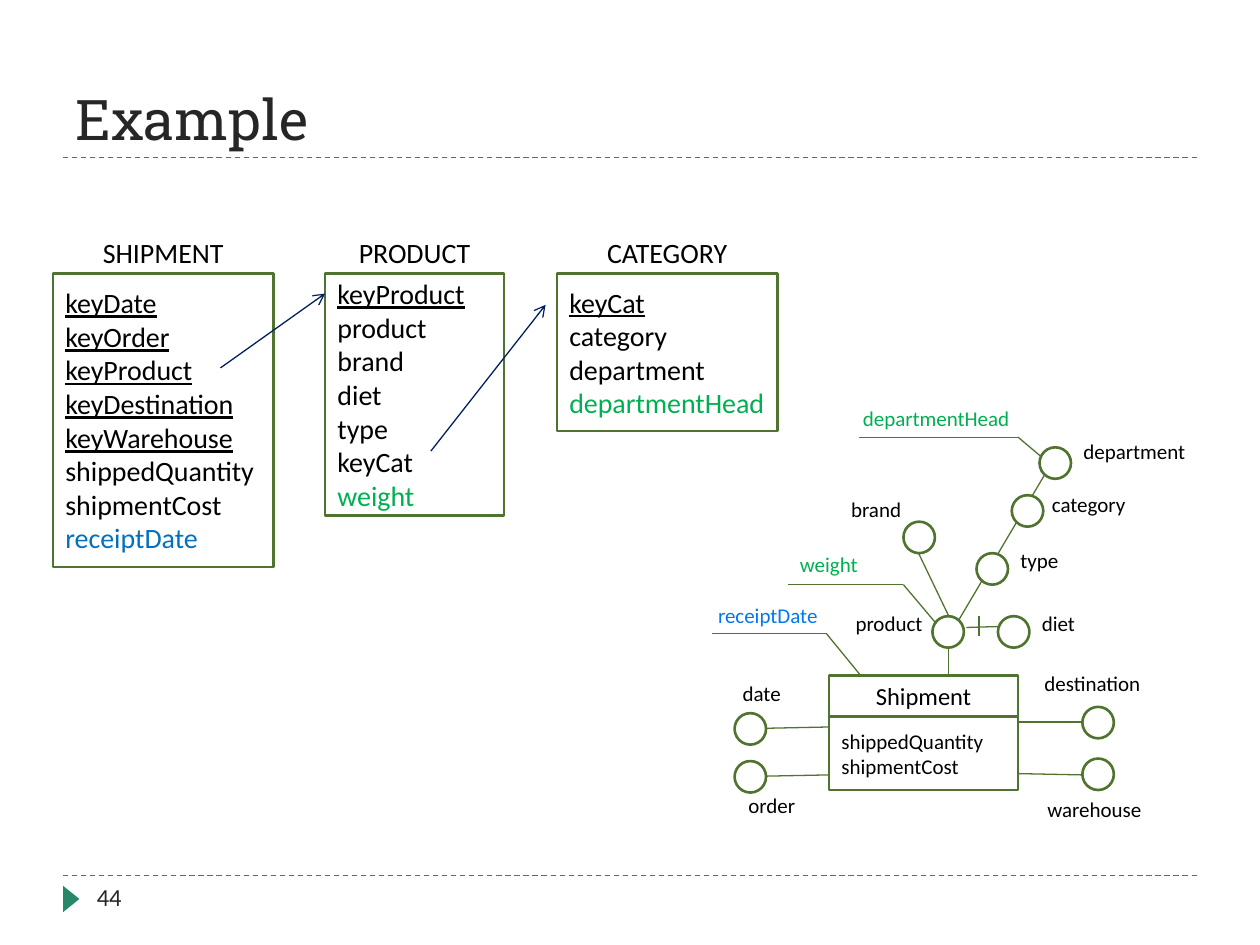
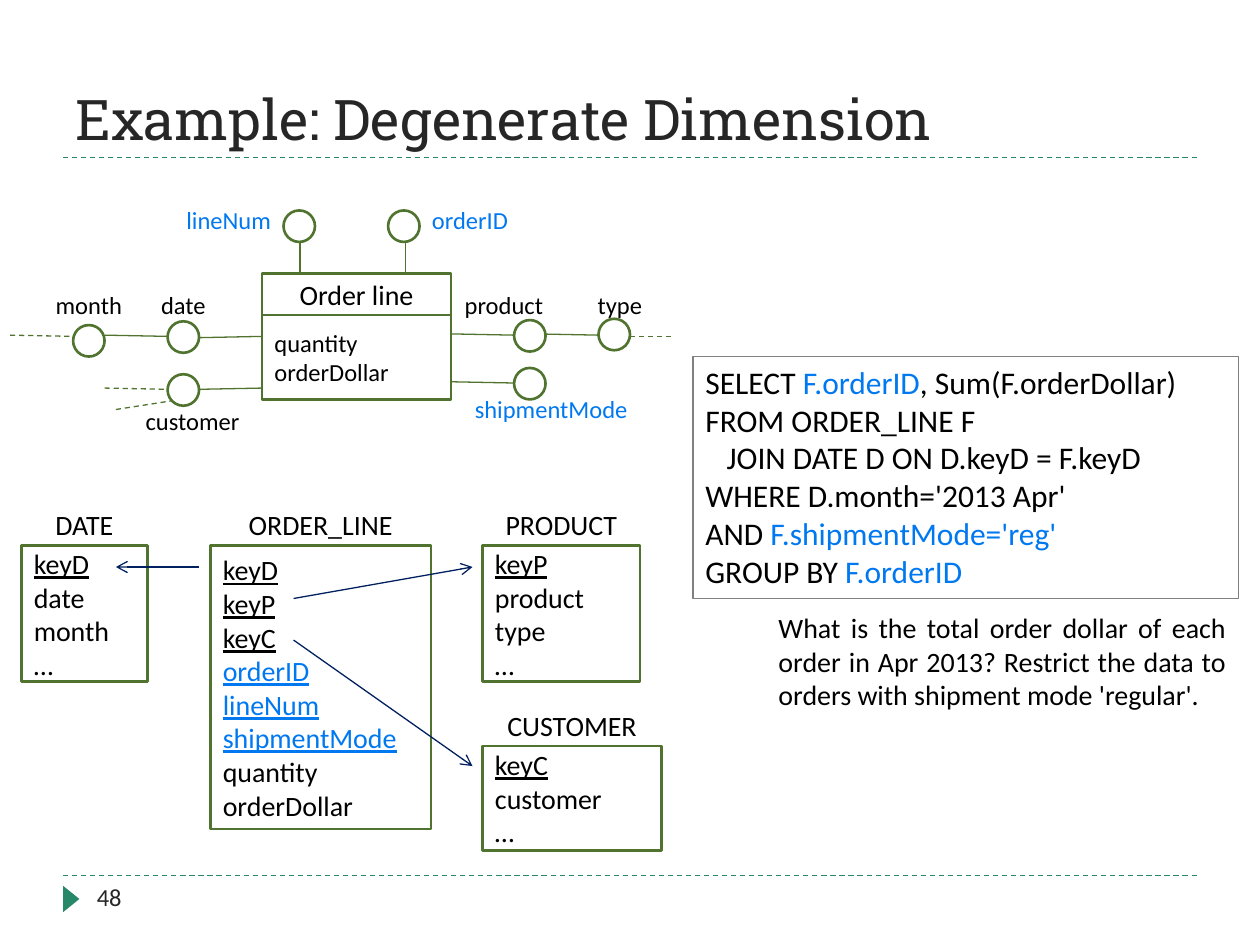
from typing import NamedTuple, Optional

from lxml.etree import SubElement
from pptx import Presentation
from pptx.dml.color import RGBColor
from pptx.enum.dml import MSO_LINE
from pptx.enum.shapes import MSO_CONNECTOR, MSO_SHAPE
from pptx.enum.text import MSO_ANCHOR, PP_ALIGN
from pptx.oxml.ns import qn
from pptx.slide import Slide
from pptx.util import Pt

# Scale, fonts and colours
PX = 9144  # 100 px to the inch
BODY, SLAB = "Calibri", "Roboto Slab"
BLACK = RGBColor(0x00, 0x00, 0x00)
WHITE = RGBColor(0xFF, 0xFF, 0xFF)
DARK = RGBColor(0x26, 0x26, 0x26)
GRAY = RGBColor(0x80, 0x80, 0x80)
TEAL = RGBColor(0x26, 0x88, 0x68)
OLIVE = RGBColor(0x50, 0x74, 0x2F)
NAVY = RGBColor(0x00, 0x20, 0x60)
GREEN = RGBColor(0x00, 0xB0, 0x50)
BLUE = RGBColor(0x00, 0x78, 0xF0)
DEEP = RGBColor(0x00, 0x70, 0xC0)
LEFT, MID, RIGHT = PP_ALIGN.LEFT, PP_ALIGN.CENTER, PP_ALIGN.RIGHT
NODE = 25
HEAD = 33


class Span(NamedTuple):
    text: str
    ink: RGBColor = BLACK
    under: bool = False


Rows = list[list[Span]]


class Area(NamedTuple):
    x: int
    y: int
    w: int
    h: int


class Wire(NamedTuple):
    x1: int
    y1: int
    x2: int
    y2: int
    dash: bool = False


class Tag(NamedTuple):
    text: str
    x: int
    y: int
    w: int
    align: PP_ALIGN = LEFT
    ink: RGBColor = BLACK


class Table(NamedTuple):
    name: str
    area: Area
    rows: Rows


class Fact(NamedTuple):
    name: str
    x: int
    y: int
    h: int
    rows: Rows


class Graph(NamedTuple):
    size: int
    fact: Fact
    wires: list[Wire]
    nodes: list[tuple[int, int]]
    tags: list[Tag]


def rows(*words: str, ink: RGBColor = BLACK, under: bool = False) -> Rows:
    return [[Span(word, ink, under)] for word in words]


def keys(*words: str, ink: RGBColor = BLACK) -> Rows:
    return rows(*words, ink=ink, under=True)


# Drawing tools
def write(shape, lines: Rows, size: int, align: PP_ALIGN = LEFT,
          anchor: MSO_ANCHOR = MSO_ANCHOR.MIDDLE, face: str = BODY) -> None:
    frame = shape.text_frame
    frame.word_wrap = True
    frame.vertical_anchor = anchor
    for i, line in enumerate(lines):
        para = frame.add_paragraph() if i else frame.paragraphs[0]
        para.alignment = align
        para.font.name, para.font.size = face, Pt(size)
        for span in line:
            run = para.add_run()
            run.text = span.text
            font = para.font if len(line) == 1 else run.font
            font.color.rgb = span.ink
            if span.under:
                font.underline = True


def put_text(slide: Slide, area: Area, lines: Rows, size: int,
             align: PP_ALIGN = LEFT, anchor: MSO_ANCHOR = MSO_ANCHOR.TOP,
             face: str = BODY) -> None:
    box = slide.shapes.add_textbox(*(n * PX for n in area))
    write(box, lines, size, align, anchor, face)


def put_shape(slide: Slide, kind: MSO_SHAPE, area: Area,
              edge: Optional[RGBColor] = OLIVE, fill: RGBColor = WHITE,
              width: float = 1.5):
    shape = slide.shapes.add_shape(kind, *(n * PX for n in area))
    shape.shadow.inherit = False
    shape.fill.solid()
    shape.fill.fore_color.rgb = fill
    if edge is None:
        shape.line.fill.background()
    else:
        shape.line.color.rgb = edge
        shape.line.width = Pt(width)
    return shape


def put_wire(slide: Slide, wire: Wire, ink: RGBColor = OLIVE,
             arrow: bool = False) -> None:
    ends = (n * PX for n in wire[:4])
    link = slide.shapes.add_connector(MSO_CONNECTOR.STRAIGHT, *ends)
    link.line.color.rgb = ink
    link.line.width = Pt(0.75)
    if wire.dash:
        link.line.dash_style = MSO_LINE.DASH
    props = link._element.spPr
    if arrow:
        SubElement(props.find(qn("a:ln")), qn("a:tailEnd"), type="arrow")
    SubElement(props, qn("a:effectLst"))


def put_table(slide: Slide, table: Table) -> None:
    x, y, w, _ = table.area
    put_text(slide, Area(x, y - HEAD, w, HEAD), rows(table.name), 16,
             MID, MSO_ANCHOR.MIDDLE)
    box = put_shape(slide, MSO_SHAPE.RECTANGLE, table.area)
    write(box, table.rows, 16)


def put_graph(slide: Slide, graph: Graph) -> None:
    size, fact = graph.size, graph.fact
    for wire in graph.wires:
        put_wire(slide, wire)
    body = put_shape(slide, MSO_SHAPE.RECTANGLE,
                     Area(fact.x, fact.y + HEAD, 150, fact.h))
    write(body, fact.rows, size)
    head = put_shape(slide, MSO_SHAPE.RECTANGLE,
                     Area(fact.x, fact.y, 150, HEAD))
    write(head, rows(fact.name), size + 2, MID)
    for x, y in graph.nodes:
        put_shape(slide, MSO_SHAPE.OVAL, Area(x, y, NODE, NODE))
    for tag in graph.tags:
        put_text(slide, Area(tag.x, tag.y, tag.w, 30),
                 rows(tag.text, ink=tag.ink), size, tag.align)


def add_slide(deck, title: str, page: int) -> Slide:
    slide = deck.slides.add_slide(deck.slide_layouts[6])
    for y in (695, 125):
        put_wire(slide, Wire(50, y, 950, y, True), TEAL)
    mark = put_shape(slide, MSO_SHAPE.ISOSCELES_TRIANGLE,
                     Area(46, 707, 21, 13), None, TEAL)
    mark.rotation = 90
    put_text(slide, Area(50, 25, 900, 100), rows(title, ink=DARK), 32,
             anchor=MSO_ANCHOR.BOTTOM, face=SLAB)
    put_text(slide, Area(67, 695, 217, 40), rows(str(page), ink=DARK), 14)
    return slide


def fill_slide(slide: Slide, graph: Graph, tables: list[Table],
               arrows: list[Wire]) -> None:
    put_graph(slide, graph)
    for table in tables:
        put_table(slide, table)
    for arrow in arrows:
        put_wire(slide, arrow, NAVY, True)


# Shipment schema
SHIP = Graph(
    12,
    Fact("Shipment", 658, 536, 58, rows("shippedQuantity", "shipmentCost")),
    [Wire(767, 498, 802, 497), Wire(777, 489, 777, 505),
     Wire(808, 573, 859, 573), Wire(808, 614, 859, 615),
     Wire(608, 578, 658, 577), Wire(608, 616, 658, 615),
     Wire(753, 494, 753, 536), Wire(842, 355, 761, 492),
     Wire(729, 439, 753, 489),
     Wire(625, 464, 717, 464), Wire(717, 464, 744, 496),
     Wire(682, 347, 808, 347), Wire(808, 347, 827, 363),
     Wire(565, 503, 656, 503), Wire(656, 503, 683, 536)],
    [(717, 414), (803, 393), (775, 439), (825, 355), (792, 489),
     (740, 489), (583, 566), (583, 604), (859, 561), (859, 602)],
    [Tag("product", 650, 480, 92, RIGHT), Tag("date", 567, 535, 75, MID),
     Tag("destination", 817, 527, 100, MID), Tag("type", 800, 430, 92),
     Tag("category", 825, 385, 125), Tag("department", 850, 343, 108),
     Tag("brand", 650, 389, 75, RIGHT), Tag("diet", 817, 480, 92),
     Tag("order", 575, 624, 75, MID), Tag("warehouse", 809, 627, 119, MID),
     Tag("weight", 625, 433, 92, ink=GREEN),
     Tag("departmentHead", 675, 317, 142, ink=GREEN),
     Tag("receiptDate", 560, 473, 115, ink=BLUE)],
)
SHIP_TABLES = [
    Table("SHIPMENT", Area(42, 217, 175, 233),
          keys("keyDate", "keyOrder", "keyProduct", "keyDestination",
               "keyWarehouse")
          + rows("shippedQuantity", "shipmentCost")
          + rows("receiptDate", ink=DEEP)),
    Table("PRODUCT", Area(258, 217, 142, 192),
          keys("keyProduct")
          + rows("product", "brand", "diet", "type", "keyCat")
          + rows("weight", ink=GREEN)),
    Table("CATEGORY", Area(442, 217, 175, 125),
          keys("keyCat") + rows("category", "department")
          + rows("departmentHead", ink=GREEN)),
]
SHIP_ARROWS = [Wire(175, 292, 258, 233), Wire(342, 358, 433, 242)]

# Order line schema
ORDER = Graph(
    14,
    Fact("Order line", 208, 217, 67, rows("quantity", "orderDollar")),
    [Wire(425, 265, 475, 266), Wire(358, 265, 408, 266),
     Wire(158, 268, 208, 267), Wire(83, 266, 133, 267),
     Wire(238, 192, 238, 217), Wire(322, 192, 322, 217),
     Wire(358, 303, 408, 304), Wire(158, 309, 208, 308),
     Wire(500, 267, 533, 267, True), Wire(8, 266, 58, 267, True),
     Wire(83, 308, 133, 309, True), Wire(92, 325, 137, 318, True)],
    [(408, 254), (58, 258), (225, 167), (133, 255), (308, 167),
     (408, 292), (475, 253), (133, 297)],
    [Tag("lineNum", 108, 158, 117, RIGHT, BLUE),
     Tag("orderID", 333, 158, 167, ink=BLUE),
     Tag("month", 33, 225, 75, MID), Tag("date", 108, 225, 75, MID),
     Tag("product", 350, 225, 100, MID), Tag("type", 442, 225, 100, MID),
     Tag("customer", 83, 317, 117, RIGHT),
     Tag("shipmentMode", 367, 308, 167, ink=BLUE)],
)
ORDER_TABLES = [
    Table("DATE", Area(17, 433, 100, 108),
          keys("keyD") + rows("date", "month", "…")),
    Table("ORDER_LINE", Area(167, 433, 175, 225),
          keys("keyD", "keyP", "keyC")
          + keys("orderID", "lineNum", "shipmentMode", ink=BLUE)
          + rows("quantity", "orderDollar")),
    Table("PRODUCT", Area(383, 433, 125, 108),
          keys("keyP") + rows("product", "type", "…")),
    Table("CUSTOMER", Area(383, 592, 142, 83),
          keys("keyC") + rows("customer", "…")),
]
ORDER_ARROWS = [Wire(233, 475, 375, 450), Wire(158, 450, 92, 450),
                Wire(233, 508, 375, 608)]
QUERY = [
    [Span("SELECT "), Span("F.orderID", BLUE), Span(", Sum(F.orderDollar)")],
    [Span("FROM ORDER_LINE F")],
    [Span("   JOIN DATE D ON D.keyD = F.keyD")],
    [Span("WHERE D.month='2013 Apr'")],
    [Span("AND "), Span("F.shipmentMode='reg'", BLUE)],
    [Span("GROUP BY "), Span("F.orderID", BLUE)],
]
ASK = ("What is the total order dollar of each order in Apr 2013? Restrict "
       "the data to orders with shipment mode 'regular'.")


def main() -> None:
    deck = Presentation()
    deck.slide_width, deck.slide_height = 1000 * PX, 750 * PX

    # Slide 1: shipment
    slide = add_slide(deck, "Example", 44)
    fill_slide(slide, SHIP, SHIP_TABLES, SHIP_ARROWS)

    # Slide 2: order line, query and its question
    slide = add_slide(deck, "Example: Degenerate Dimension", 48)
    fill_slide(slide, ORDER, ORDER_TABLES, ORDER_ARROWS)
    code = put_shape(slide, MSO_SHAPE.RECTANGLE, Area(550, 283, 433, 192),
                     GRAY, width=0.75)
    write(code, QUERY, 18, anchor=MSO_ANCHOR.TOP)
    put_text(slide, Area(608, 483, 375, 83), rows(ASK), 16,
             PP_ALIGN.JUSTIFY, MSO_ANCHOR.MIDDLE)

    deck.save("out.pptx")


if __name__ == "__main__":
    main()
